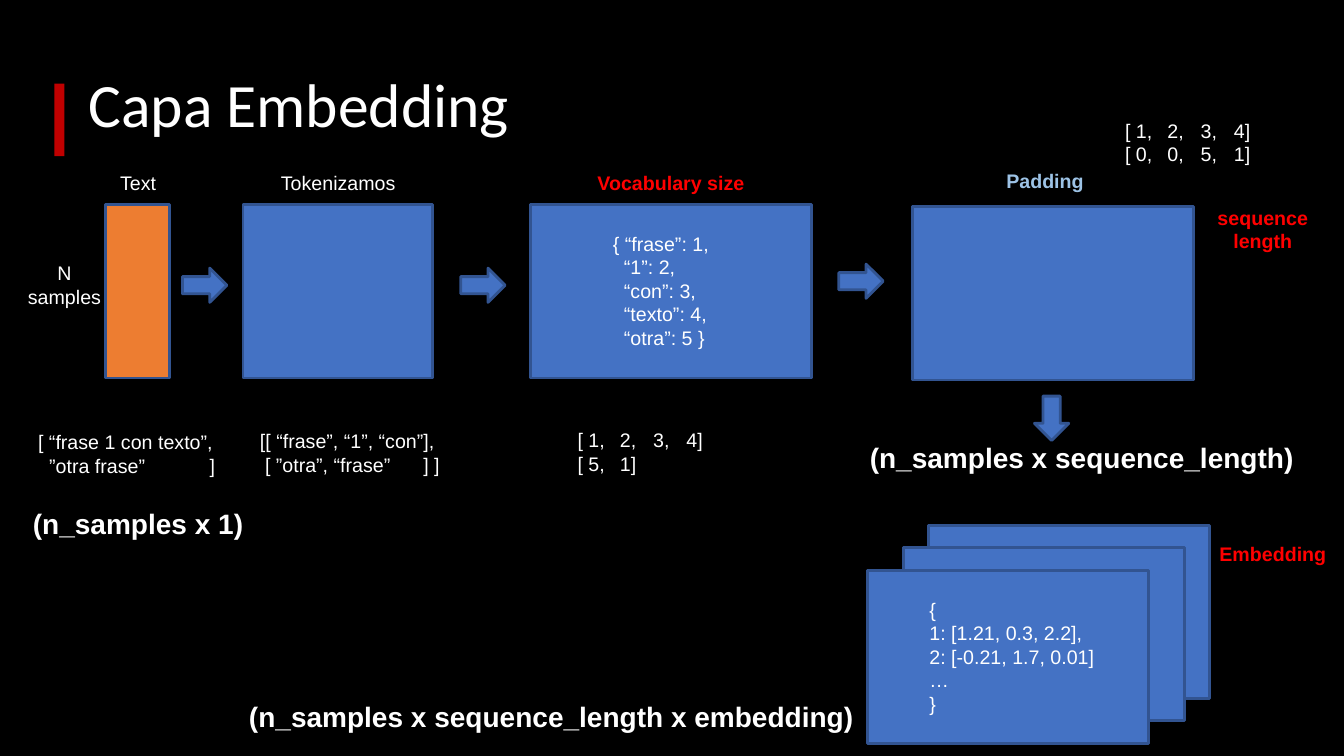
import pptx
import pptx.dml.color
import pptx.enum.shapes
import pptx.enum.text
import pptx.oxml
import pptx.oxml.ns
import pptx.util
from pptx.util import Inches

RGBColor = pptx.dml.color.RGBColor
BLACK = RGBColor(0x00, 0x00, 0x00)
WHITE = RGBColor(0xFF, 0xFF, 0xFF)
RED = RGBColor(0xFF, 0x00, 0x00)
DARK_RED = RGBColor(0xC0, 0x00, 0x00)
BLUE = RGBColor(0x44, 0x72, 0xC4)
LIGHT_BLUE = RGBColor(0x9D, 0xC3, 0xE6)
ORANGE = RGBColor(0xED, 0x7D, 0x31)
OUTLINE = RGBColor(0x32, 0x54, 0x91)

RECTANGLE = pptx.enum.shapes.MSO_SHAPE.RECTANGLE
RIGHT_ARROW = pptx.enum.shapes.MSO_SHAPE.RIGHT_ARROW
LEFT = pptx.enum.text.PP_ALIGN.LEFT
CENTER = pptx.enum.text.PP_ALIGN.CENTER

PANEL_WIDTH, PANEL_HEIGHT = 2.79, 1.72
MATRIX_TABS = (0.42, 0.75, 1.08)
LABEL = {"size": pptx.util.Pt(14), "name": "Arial", "bold": False}
STRONG_LABEL = {**LABEL, "bold": True}
DIMENSION = {**STRONG_LABEL, "size": pptx.util.Pt(20)}
TITLE = {**LABEL, "size": pptx.util.Pt(44), "name": "Calibri"}


def add_block(slide, left, top, width, height, color=BLUE, kind=RECTANGLE, outlined=True):
    shape = slide.shapes.add_shape(
        kind, Inches(left), Inches(top), Inches(width), Inches(height))
    shape.shadow.inherit = False
    shape.fill.solid()
    shape.fill.fore_color.rgb = color
    if outlined:
        shape.line.color.rgb = OUTLINE
        shape.line.width = pptx.util.Pt(2)
    else:
        shape.line.fill.background()
    return shape


def add_arrow(slide, left, top, rotation=0):
    arrow = add_block(slide, left, top, 0.44, 0.34, kind=RIGHT_ARROW)
    arrow.rotation = rotation


def set_tab_stops(paragraph, positions):
    properties = paragraph._p.get_or_add_pPr()
    tab_list = pptx.oxml.parse_xml(f"<a:tabLst {pptx.oxml.ns.nsdecls('a')}/>")
    for position in positions:
        tab = tab_list.makeelement(pptx.oxml.ns.qn("a:tab"),
                                   {"pos": str(Inches(position)), "algn": "l"})
        tab_list.append(tab)
    properties.append(tab_list)


def add_text(slide, left, top, width, height, lines, font=LABEL, color=WHITE,
             alignment=CENTER, tabs=()):
    box = slide.shapes.add_textbox(
        Inches(left), Inches(top), Inches(width), Inches(height))
    frame = box.text_frame
    frame.word_wrap = True
    frame.auto_size = pptx.enum.text.MSO_AUTO_SIZE.SHAPE_TO_FIT_TEXT
    for index, line in enumerate(lines):
        paragraph = frame.add_paragraph() if index else frame.paragraphs[0]
        paragraph.alignment = alignment
        if tabs:
            set_tab_stops(paragraph, tabs)
        run = paragraph.add_run()
        run.text = line
        for attribute, value in font.items():
            setattr(run.font, attribute, value)
        run.font.color.rgb = color
    return frame


def add_code(slide, left, top, width, height, lines, tabs=()):
    add_text(slide, left, top, width, height, lines, alignment=LEFT, tabs=tabs)


def add_title(slide):
    frame = add_text(slide, 0.78, 0.34, 11.5, 1.45, ["Capa Embedding"],
                     font=TITLE, alignment=LEFT)
    frame.auto_size = pptx.enum.text.MSO_AUTO_SIZE.NONE
    frame.vertical_anchor = pptx.enum.text.MSO_ANCHOR.MIDDLE
    frame.paragraphs[0].line_spacing = 0.9
    add_block(slide, 0.54, 0.83, 0.1, 0.72, DARK_RED, outlined=False)


def main():
    presentation = pptx.Presentation()
    presentation.slide_width = Inches(13.33)
    presentation.slide_height = Inches(7.5)
    slide = presentation.slides.add_slide(presentation.slide_layouts[6])
    slide.background.fill.solid()
    slide.background.fill.fore_color.rgb = BLACK
    add_title(slide)

    # Processing steps, left to right
    add_block(slide, 1.05, 2.03, 0.63, PANEL_HEIGHT, ORANGE)
    add_block(slide, 2.41, 2.03, 1.88, PANEL_HEIGHT)
    for left, top in ((5.26, 2.03), (9.05, 2.05)):
        add_block(slide, left, top, PANEL_WIDTH, PANEL_HEIGHT)

    # Stacked embedding panels, back to front
    for left, top in ((9.21, 5.21), (8.96, 5.43), (8.6, 5.66)):
        add_block(slide, left, top, PANEL_WIDTH, PANEL_HEIGHT)

    # Arrows between steps
    for left, top in ((1.81, 2.66), (4.57, 2.66), (8.32, 2.62)):
        add_arrow(slide, left, top)
    add_arrow(slide, 10.21, 3.98, rotation=90)

    # Step labels
    add_text(slide, 0.07, 2.54, 1.14, 0.57, ["N", "samples"])
    add_text(slide, 0.8, 1.65, 1.14, 0.34, ["Text"])
    add_text(slide, 2.2, 1.65, 2.31, 0.34, ["Tokenizamos"])
    for left, top, height, lines, color in (
            (5.5, 1.65, 0.34, ["Vocabulary size"], RED),
            (9.21, 1.63, 0.34, ["Padding"], LIGHT_BLUE),
            (11.37, 1.99, 0.57, ["sequence", "length"], RED),
            (11.47, 5.33, 0.34, ["Embedding"], RED)):
        add_text(slide, left, top, 2.31, height, lines, STRONG_LABEL, color)

    # Example data at each step
    add_code(slide, 0.28, 4.22, 2.17, 0.57,
             ["[ “frase 1 con texto”,", "\t”otra frase”\t]"], tabs=(0.11, 1.7))
    add_code(slide, 2.48, 4.21, 2.02, 0.57,
             ["[[ “frase”, “1”, “con”],", "\t[ ”otra”, “frase”\t] ]"], tabs=(0.05, 1.62))
    add_code(slide, 5.63, 4.2, 1.88, 0.57,
             ["[ 1,\t2,\t3,\t4]", "[ 5,\t1]"], tabs=MATRIX_TABS)
    add_code(slide, 11.06, 1.13, 1.88, 0.57,
             ["[ 1,\t2,\t3,\t4]", "[ 0,\t0,\t5,\t1]"], tabs=MATRIX_TABS)
    add_code(slide, 5.98, 2.25, 1.88, 1.28,
             ["{ “frase”: 1,", "\t“1”: 2,", "\t“con”: 3,", "\t“texto”: 4,", "\t“otra”: 5 }"],
             tabs=(0.11,))
    add_code(slide, 9.12, 5.88, 1.88, 1.28,
             ["{", "1: [1.21, 0.3, 2.2],", "2: [-0.21, 1.7, 0.01]", "…", "}"])

    # Array dimensions
    for left, top, width, dimension in (
            (0.04, 4.98, 2.66, "(n_samples x 1)"),
            (8.12, 4.32, 5.22, "(n_samples x sequence_length)"),
            (2.1, 6.89, 6.74, "(n_samples x sequence_length x embedding)")):
        add_text(slide, left, top, width, 0.44, [dimension], DIMENSION)

    presentation.save("out.pptx")


if __name__ == "__main__":
    main()
